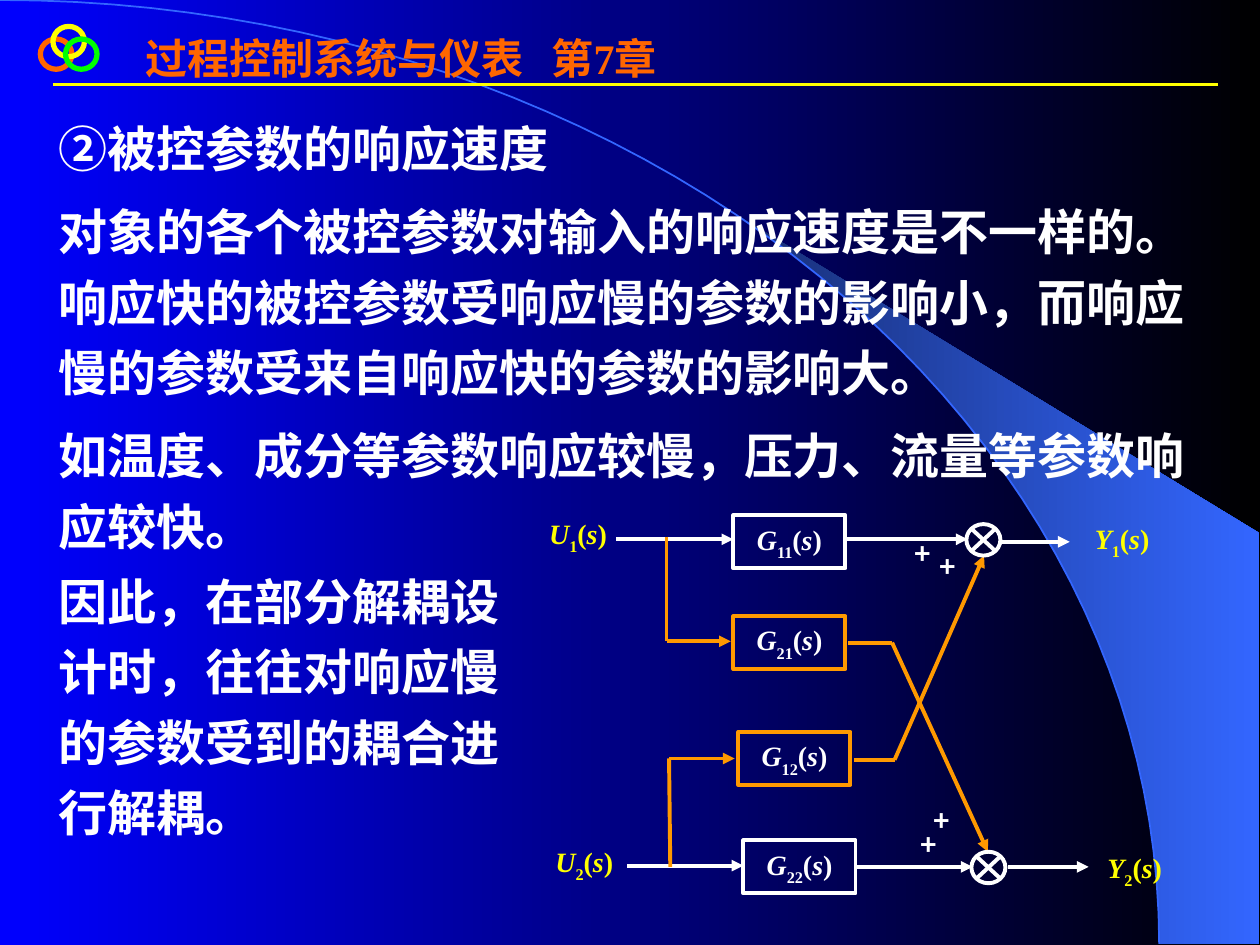
import math

from lxml import etree
from pptx import Presentation
from pptx import util as u
from pptx.dml.color import RGBColor
from pptx.enum import dml, shapes, text
from pptx.oxml.ns import qn

WHITE, YELLOW, ORANGE, BLUE = "FFFFFF", "FFFF00", "FF9900", "3366FF"
LATIN, CJK = "Times New Roman", "Noto Sans CJK SC"
ARC_W, ARC_H = 9.2, 7.49


def paint(color, value):
    color.rgb = RGBColor.from_string(value)


def gradient(fill, start, end):
    fill.gradient()
    fill.gradient_angle = 0
    for stop, position, value in zip(fill.gradient_stops, (0, 1), (start, end)):
        stop.position = position
        paint(stop.color, value)


def outline(sp, color, width):
    paint(sp.line.color, color)
    sp.line.width = u.Pt(width)


def set_font(p, size, color, name=LATIN):
    p.font.size, p.font.bold, p.font.name = u.Pt(size), True, name
    paint(p.font.color, color)
    props = p._p.get_or_add_pPr().get_or_add_defRPr()
    etree.SubElement(props, qn("a:ea")).set("typeface", CJK)


def add_shape(s, kind, box, color, width):
    sp = s.shapes.add_shape(kind, *map(u.Inches, box))
    sp.shadow.inherit = False
    sp.fill.background()
    outline(sp, color, width)
    return sp


def add_line(s, start, end, color, width=2.25, arrow=False):
    line = s.shapes.add_connector(shapes.MSO_CONNECTOR.STRAIGHT,
                                  *map(u.Inches, (*start, *end)))
    outline(line, color, width)
    if arrow:
        etree.SubElement(line.line._get_or_add_ln(), qn("a:tailEnd")).set("type", "triangle")
    etree.SubElement(line._element.spPr, qn("a:effectLst"))


def add_path(s, points):
    first, *rest = [(u.Inches(x), u.Inches(y)) for x, y in points]
    builder = s.shapes.build_freeform(*first)
    builder.add_line_segments(rest, close=False)
    sp = builder.convert_to_shape()
    sp.shadow.inherit = False
    return sp


def arc_points(start, end, steps=48):
    """Points on the quarter ellipse, angles in degrees from the top."""
    angles = [math.radians(start + (end - start) * i / steps) for i in range(steps + 1)]
    return [(ARC_W * math.sin(a), ARC_H * (1 - math.cos(a))) for a in angles]


def add_text(s, box, lines, size, color, name=LATIN, spacing=None, before=0, tab=None):
    tf = s.shapes.add_textbox(*map(u.Inches, box)).text_frame
    tf.word_wrap = True
    for i, line in enumerate(lines):
        p = tf.paragraphs[0] if i == 0 else tf.add_paragraph()
        p.text = line
        if spacing:
            p.line_spacing = spacing
        if i:
            p.space_before = u.Pt(before)
        if tab:
            tabs = etree.SubElement(p._p.get_or_add_pPr(), qn("a:tabLst"))
            etree.SubElement(tabs, qn("a:tab"), pos=str(u.Inches(tab)), algn="l")
        set_font(p, size, color, name)
    return tf


def write_symbol(p, letter, index, color):
    """Write a transfer symbol such as G11(s) with its subscript."""
    set_font(p, 16, color)
    for part, italic in ((letter, True), (index, False), ("(", False), ("s", True), (")", False)):
        r = p.add_run()
        r.text = part
        r.font.italic = italic
        if part == index:
            r._r.get_or_add_rPr().set("baseline", "-30000")


def add_signal(s, box, letter, index):
    tf = add_text(s, box, [], 16, YELLOW)
    write_symbol(tf.paragraphs[0], letter, index, YELLOW)


def add_block(s, left, top, index, color):
    sp = add_shape(s, shapes.MSO_SHAPE.RECTANGLE, (left, top, 0.89, 0.42), color, 2.25)
    tf = sp.text_frame
    tf.vertical_anchor = text.MSO_ANCHOR.MIDDLE
    p = tf.paragraphs[0]
    p.alignment = text.PP_ALIGN.CENTER
    write_symbol(p, "G", index, WHITE)


def add_backdrop(s):
    gradient(s.background.fill, "0000FF", "000000")
    wedge = add_path(s, arc_points(39.8, 90) + [(9.99, 7.49), (9.99, 4.23), (5.89, 1.73)])
    gradient(wedge.fill, "182F76", BLUE)
    wedge.line.fill.background()
    arc = add_path(s, arc_points(0, 90))
    arc.fill.background()
    outline(arc, BLUE, 1)


def add_header(s):
    add_line(s, (0.42, 0.67), (9.67, 0.67), YELLOW, 1.5)
    add_text(s, (1.06, 0.21, 4.49, 0.9), ["过程控制系统与仪表\t第7章"], 24, "FF6600", tab=3.22)
    for left, top, color in ((0.32, 0.31, "FF6600"), (0.42, 0.21, YELLOW), (0.52, 0.31, "00FF00")):
        add_shape(s, shapes.MSO_SHAPE.OVAL, (left, top, 0.25, 0.24), color, 3)


def add_body(s):
    add_text(s, (0.37, 0.8, 9.3, 3.66), [
        "②被控参数的响应速度",
        "对象的各个被控参数对输入的响应速度是不一样的。响应快的被控参数受响应慢的参数的影响小，"
        "而响应慢的参数受来自响应快的参数的影响大。",
        "如温度、成分等参数响应较慢，压力、流量等参数响应较快。",
    ], 28, WHITE, spacing=1.2, before=7)
    add_text(s, (0.37, 4.39, 4.04, 2.34),
             ["因此，在部分解耦设计时，往往对响应慢的参数受到的耦合进行解耦。"],
             28, WHITE, spacing=1.2)


def add_diagram(s):
    # Direct channels
    for start, end in (((4.89, 4.28), (5.82, 4.28)), ((4.98, 6.87), (5.9, 6.87)),
                       ((6.72, 4.28), (7.68, 4.28)), ((6.79, 6.88), (7.72, 6.88)),
                       ((7.94, 4.3), (8.49, 4.3)), ((8, 6.88), (8.64, 6.88))):
        add_line(s, start, end, WHITE, arrow=True)

    # Cross channels: each route ends in an arrow
    for route in (((5.29, 4.26), (5.29, 5.09), (5.8, 5.09)),
                  ((6.73, 5.1), (7.08, 5.1), (7.84, 6.76)),
                  ((5.32, 6.88), (5.31, 6.02), (5.83, 6.02)),
                  ((6.78, 6.03), (7.1, 6.03), (7.81, 4.41))):
        add_line(s, route[0], route[1], ORANGE)
        add_line(s, route[1], route[2], ORANGE, arrow=True)

    # Transfer blocks and summing junctions
    for left, top, index, color in ((5.82, 4.09, "11", WHITE), (5.82, 4.89, "21", ORANGE),
                                    (5.86, 5.81, "12", ORANGE), (5.9, 6.67, "22", WHITE)):
        add_block(s, left, top, index, color)
    for left, top in ((7.67, 4.16), (7.71, 6.76)):
        add_shape(s, shapes.MSO_SHAPE.FLOWCHART_SUMMING_JUNCTION,
                  (left, top, 0.27, 0.25), WHITE, 2.25)

    # Inputs, outputs and signs
    for box, letter, index in (((4.26, 4.05, 0.74, 0.46), "U", "1"),
                               ((4.31, 6.65, 0.67, 0.5), "U", "2"),
                               ((8.59, 4.09, 0.69, 0.49), "Y", "1"),
                               ((8.69, 6.7, 0.69, 0.52), "Y", "2")):
        add_signal(s, box, letter, index)
    for left, top in ((7.21, 6.52), (7.31, 6.33), (7.16, 4.21), (7.36, 4.31)):
        add_text(s, (left, top, 0.44, 0.39), ["+"], 16, WHITE, CJK)


def main():
    prs = Presentation()
    prs.slide_width, prs.slide_height = u.Inches(10), u.Inches(7.5)
    s = prs.slides.add_slide(prs.slide_layouts[6])
    add_backdrop(s)
    add_header(s)
    add_body(s)
    add_diagram(s)
    prs.save("out.pptx")


if __name__ == "__main__":
    main()
